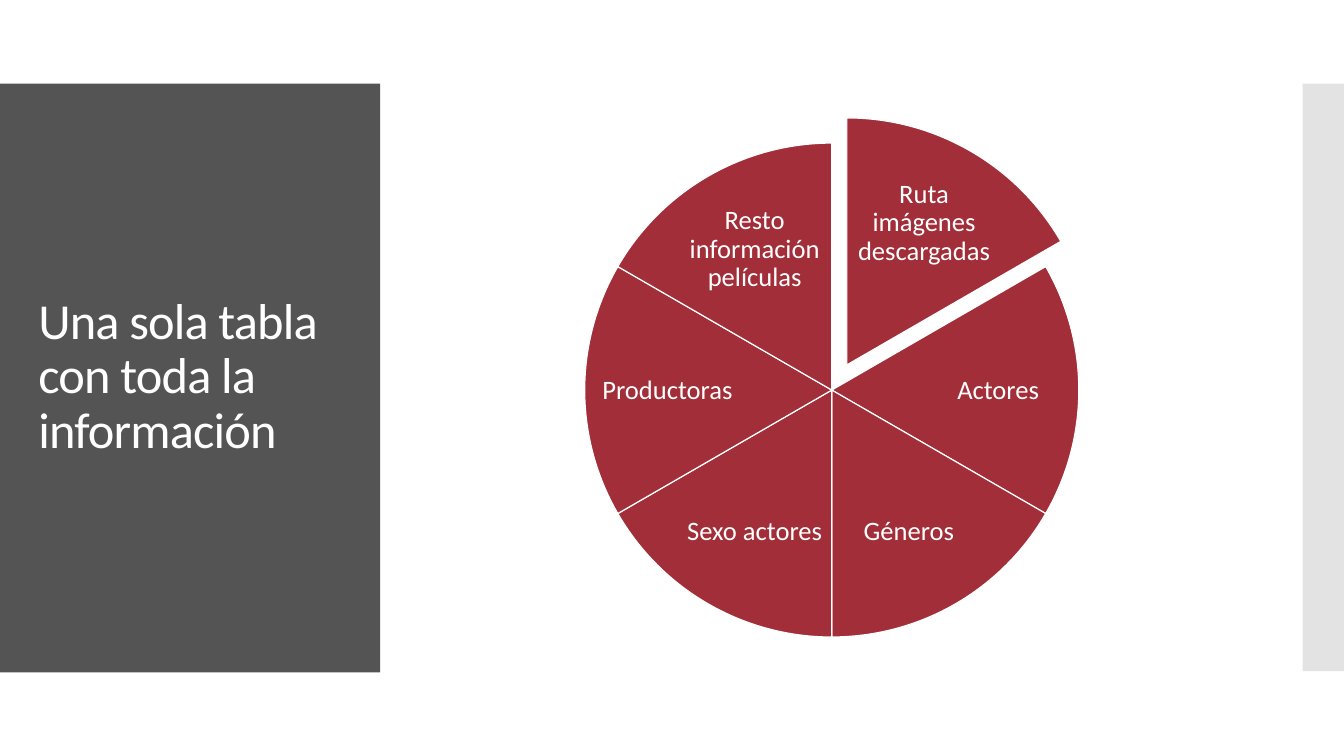
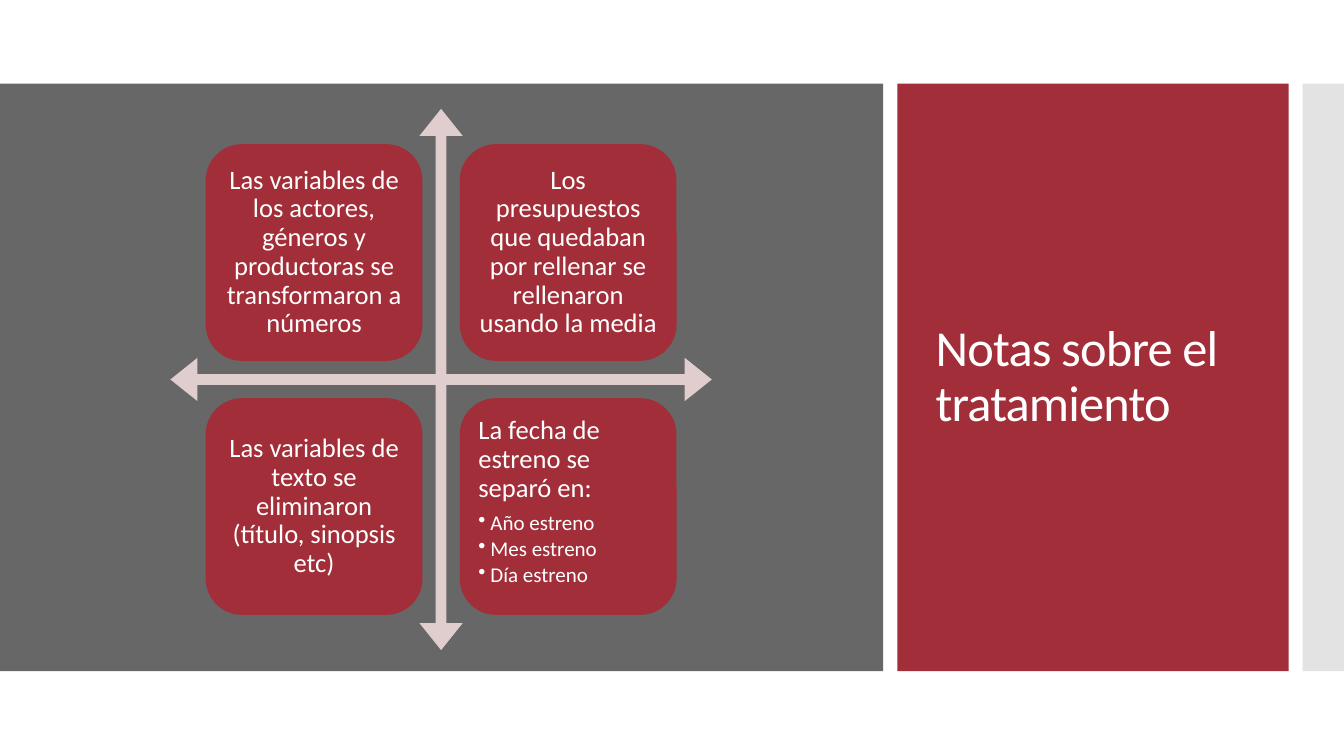
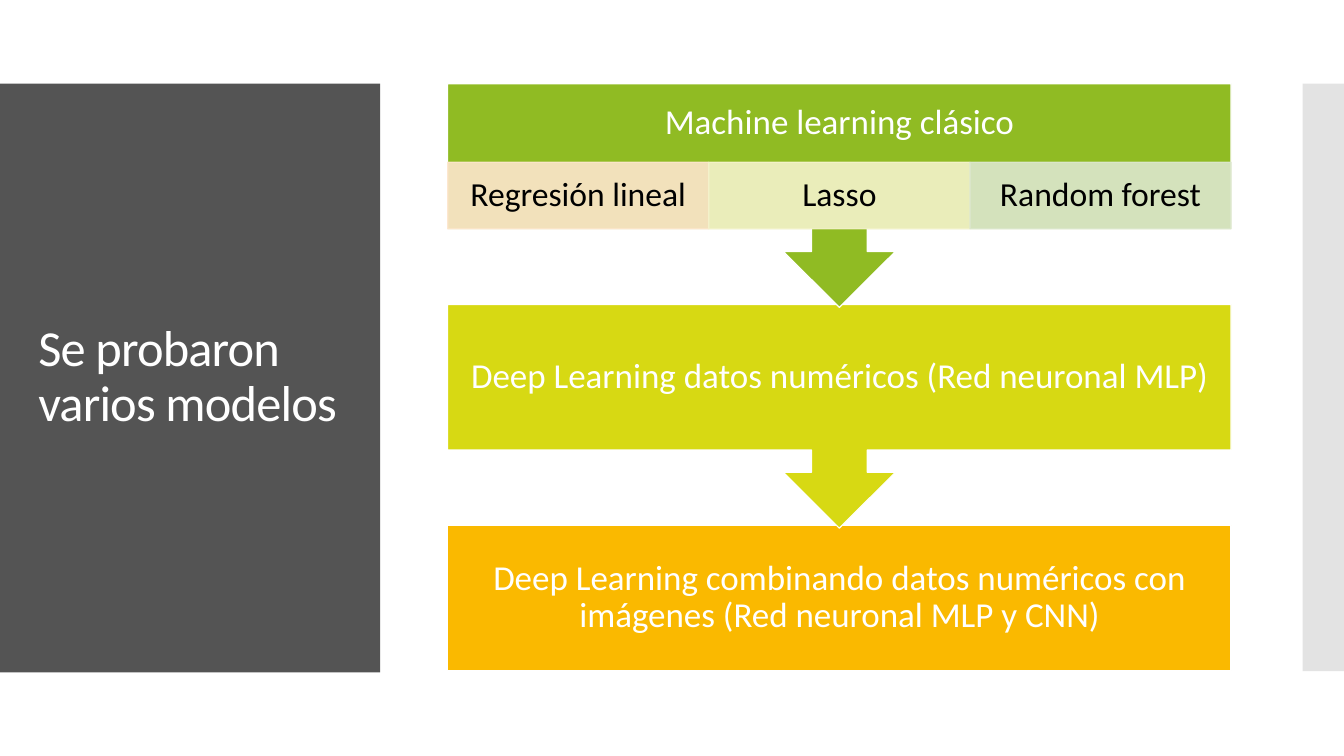
from dataclasses import dataclass

from lxml import etree
from pptx import Presentation
from pptx import util as u
from pptx.dml.color import RGBColor
from pptx.enum import shapes, text
from pptx.oxml.ns import qn

# Shared style
FONT = "Calibri"
WHITE = RGBColor(0xFF, 0xFF, 0xFF)
BLACK = RGBColor(0x00, 0x00, 0x00)
RED = RGBColor(0xA1, 0x2E, 0x38)
PINK = RGBColor(0xE0, 0xCD, 0xCE)
DARK_GRAY = RGBColor(0x54, 0x54, 0x54)
MID_GRAY = RGBColor(0x67, 0x67, 0x67)
LIGHT_GRAY = RGBColor(0xC8, 0xC8, 0xC8)
GREEN = RGBColor(0x90, 0xBB, 0x23)
LIME = RGBColor(0xD7, 0xD9, 0x13)
AMBER = RGBColor(0xFA, 0xB9, 0x00)
PALE_AMBER = RGBColor(0xFD, 0xE6, 0xCC)
PALE_LIME = RGBColor(0xF4, 0xF3, 0xCB)
PALE_GREEN = RGBColor(0xDC, 0xE7, 0xCD)

KIND = shapes.MSO_SHAPE
ALIGN = text.PP_ALIGN
ANCHOR = text.MSO_ANCHOR
BAND_TOP, BAND_HEIGHT = 0.83, 5.83
LINE_WIDTH = 0.85


@dataclass(frozen=True)
class Area:
    left: float
    top: float
    width: float
    height: float

    def lengths(self) -> list:
        return [u.Inches(v) for v in (self.left, self.top, self.width, self.height)]


@dataclass(frozen=True)
class Label:
    words: str
    size: float
    color: RGBColor = WHITE
    inset_x: float = 0.03
    inset_y: float = 0.03
    bullets: tuple = ()


@dataclass(frozen=True)
class PieSlice:
    words: str
    area: Area
    shift_x: float = 0
    shift_y: float = 0


@dataclass(frozen=True)
class Stage:
    words: str
    color: RGBColor
    text_height: float


def set_opacity(shape, percent: int) -> None:
    for color in shape.element.spPr.iter(qn("a:srgbClr")):
        etree.SubElement(color, qn("a:alpha")).set("val", str(percent * 1000))


def add_block(page, kind, area: Area, fill: RGBColor, line: RGBColor | None = None,
              opacity: int = 100, adjustments: tuple = ()):
    shape = page.shapes.add_shape(kind, *area.lengths())
    shape.shadow.inherit = False
    shape.fill.solid()
    shape.fill.fore_color.rgb = fill
    if line is None:
        shape.line.fill.background()
    else:
        shape.line.color.rgb = line
        shape.line.width = u.Pt(LINE_WIDTH)
    for index, value in enumerate(adjustments):
        shape.adjustments[index] = value
    if opacity < 100:
        set_opacity(shape, opacity)
    return shape


def format_para(para, size: float, color: RGBColor, align) -> None:
    para.alignment = align
    para.line_spacing = 0.9
    for span in para.runs:
        span.font.name = FONT
        span.font.size = u.Pt(size)
        span.font.color.rgb = color


def add_bullet(para) -> None:
    para.level = 1
    para.space_after = u.Pt(2.25)
    props = para._p.get_or_add_pPr()
    props.set("marL", str(u.Inches(0.12)))
    props.set("indent", str(u.Inches(-0.12)))
    etree.SubElement(props, qn("a:buChar")).set("char", "•")


def write_label(shape, label: Label) -> None:
    frame = shape.text_frame
    frame.word_wrap = True
    frame.auto_size = text.MSO_AUTO_SIZE.NONE
    frame.vertical_anchor = ANCHOR.TOP if label.bullets else ANCHOR.MIDDLE
    frame.margin_left = frame.margin_right = u.Inches(label.inset_x)
    frame.margin_top = frame.margin_bottom = u.Inches(label.inset_y)
    para = frame.paragraphs[0]
    para.text = label.words
    format_para(para, label.size, label.color, ALIGN.LEFT if label.bullets else ALIGN.CENTER)
    if label.bullets:
        para.space_after = u.Pt(6.65)
    for item in label.bullets:
        para = frame.add_paragraph()
        para.text = item
        format_para(para, 15, label.color, ALIGN.LEFT)
        add_bullet(para)


def add_label(page, area: Area, label: Label) -> None:
    write_label(page.shapes.add_textbox(*area.lengths()), label)


def add_page(deck, title: str, panel: Area, panel_color: RGBColor):
    """Slide with the right-hand band, a title panel and its title."""
    page = deck.slides.add_slide(deck.slide_layouts.get_by_name("Title Only"))
    add_block(page, KIND.RECTANGLE, Area(12.92, BAND_TOP, 0.42, BAND_HEIGHT), LIGHT_GRAY, opacity=50)
    add_block(page, KIND.RECTANGLE, panel, panel_color)
    box = page.shapes.title
    page.shapes.element.append(box.element)  # in front of the panel
    box.left, box.top, box.width, box.height = Area(panel.left + 0.28, 1.23, 3.22, 5.03).lengths()
    frame = box.text_frame
    frame.text = title
    frame.word_wrap = True
    frame.auto_size = text.MSO_AUTO_SIZE.NONE
    frame.vertical_anchor = ANCHOR.MIDDLE
    para = frame.paragraphs[0]
    format_para(para, 36, WHITE, ALIGN.LEFT)
    for span in para.runs:
        span.font._element.set("spc", "-60")
    return page


LEFT_PANEL = Area(0, BAND_TOP, 3.77, 5.84)


def build_single_table(deck) -> None:
    page = add_page(deck, "Una sola tabla con toda la información", LEFT_PANEL, DARK_GRAY)
    slices = [
        PieSlice("Ruta imágenes descargadas", Area(8.45, 1.69, 1.43, 1.05), 0.15, -0.25),
        PieSlice("Actores", Area(9.16, 3.38, 1.48, 0.99)),
        PieSlice("Géneros", Area(8.3, 4.75, 1.43, 1.05)),
        PieSlice("Sexo actores", Area(6.77, 4.75, 1.43, 1.05)),
        PieSlice("Productoras", Area(5.88, 3.38, 1.48, 0.99)),
        PieSlice("Resto información películas", Area(6.77, 1.95, 1.43, 1.05)),
    ]
    # Adjustments measure angles with 216 to the full turn; 162 is twelve o'clock
    full_turn, noon = 216, 162
    sweep = full_turn / len(slices)
    for index, part in enumerate(slices):
        start = (noon + index * sweep) % full_turn
        end = (start + sweep - 1) % full_turn + 1
        circle = Area(5.8 + part.shift_x, 1.42 + part.shift_y, 4.9, 4.9)
        add_block(page, KIND.PIE, circle, RED, WHITE, adjustments=(start, end))
        add_label(page, part.area, Label(part.words, 19))


def build_treatment_notes(deck) -> None:
    page = add_page(deck, "Notas sobre el tratamiento", Area(8.9, BAND_TOP, 3.88, BAND_HEIGHT), RED)
    add_block(page, KIND.RECTANGLE, Area(0, BAND_TOP, 8.76, BAND_HEIGHT), MID_GRAY)
    add_block(page, KIND.QUAD_ARROW, Area(1.69, 1.08, 5.37, 5.37), PINK,
              adjustments=(0.02, 0.04, 0.05))
    notes = [
        ("Las variables de los actores, géneros y productoras se transformaron a números", ()),
        ("Los presupuestos que quedaban por rellenar se rellenaron usando la media", ()),
        ("Las variables de texto se eliminaron (título, sinopsis etc)", ()),
        ("La fecha de estreno se separó en:", ("Año estreno", "Mes estreno", "Día estreno")),
    ]
    side, step = 2.15, 2.52
    for index, (words, bullets) in enumerate(notes):
        row, column = divmod(index, 2)
        area = Area(2.04 + column * step, 1.43 + row * step, side, side)
        card = add_block(page, KIND.ROUNDED_RECTANGLE, area, RED)
        write_label(card, Label(words, 19, inset_x=0.08, inset_y=0.08, bullets=bullets))


def build_models(deck) -> None:
    page = add_page(deck, "Se probaron varios modelos", LEFT_PANEL, DARK_GRAY)
    left, width, step, body_height = 4.44, 7.77, 2.19, 1.44
    stages = [
        Stage("Machine learning clásico", GREEN, 0.78),
        Stage("Deep Learning datos numéricos (Red neuronal MLP)", LIME, body_height),
        Stage("Deep Learning combinando datos numéricos con imágenes (Red neuronal MLP y CNN)",
              AMBER, body_height),
    ]
    # Drawn from the bottom up, so each arrow tip lies over the next stage
    for index, stage in reversed(list(enumerate(stages))):
        top = BAND_TOP + index * step
        if index == len(stages) - 1:
            add_block(page, KIND.RECTANGLE, Area(left, top, width, body_height), stage.color, WHITE)
        else:
            callout = add_block(page, KIND.UP_ARROW_CALLOUT, Area(left, top, width, 2.22),
                                stage.color, WHITE)
            callout.rotation = 180
        add_label(page, Area(left, top, width, stage.text_height),
                  Label(stage.words, 25, inset_x=0.19, inset_y=0.19))

    # Classic models inside the first stage
    models = [("Regresión lineal", PALE_AMBER), ("Lasso", PALE_LIME), ("Random forest", PALE_GREEN)]
    cell_width = width / len(models)
    for index, (words, color) in enumerate(models):
        area = Area(left + index * cell_width, 1.61, cell_width, 0.66)
        cell = add_block(page, KIND.RECTANGLE, area, color, color, opacity=90)
        write_label(cell, Label(words, 24, BLACK, inset_x=0.19))


def main() -> None:
    deck = Presentation()
    deck.slide_width, deck.slide_height = u.Inches(13.33), u.Inches(7.5)
    build_single_table(deck)
    build_treatment_notes(deck)
    build_models(deck)
    deck.save("out.pptx")


if __name__ == "__main__":
    main()
